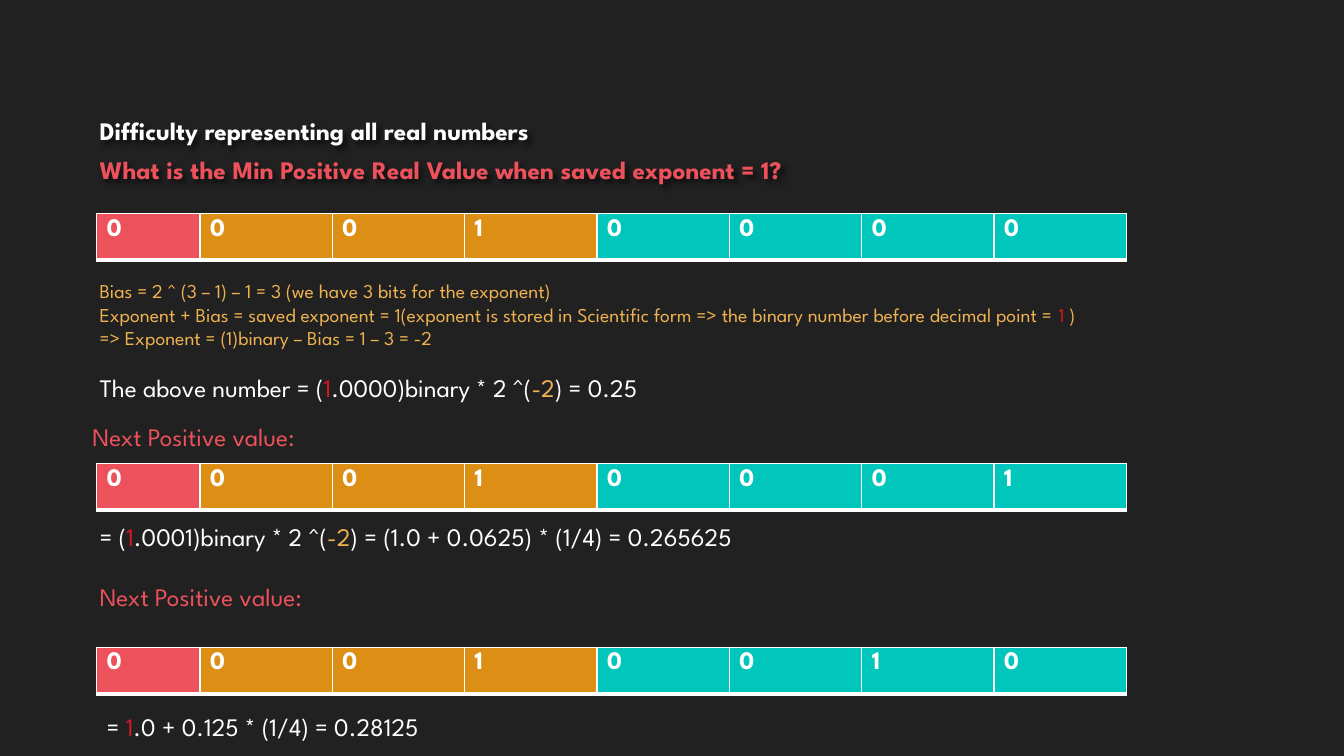
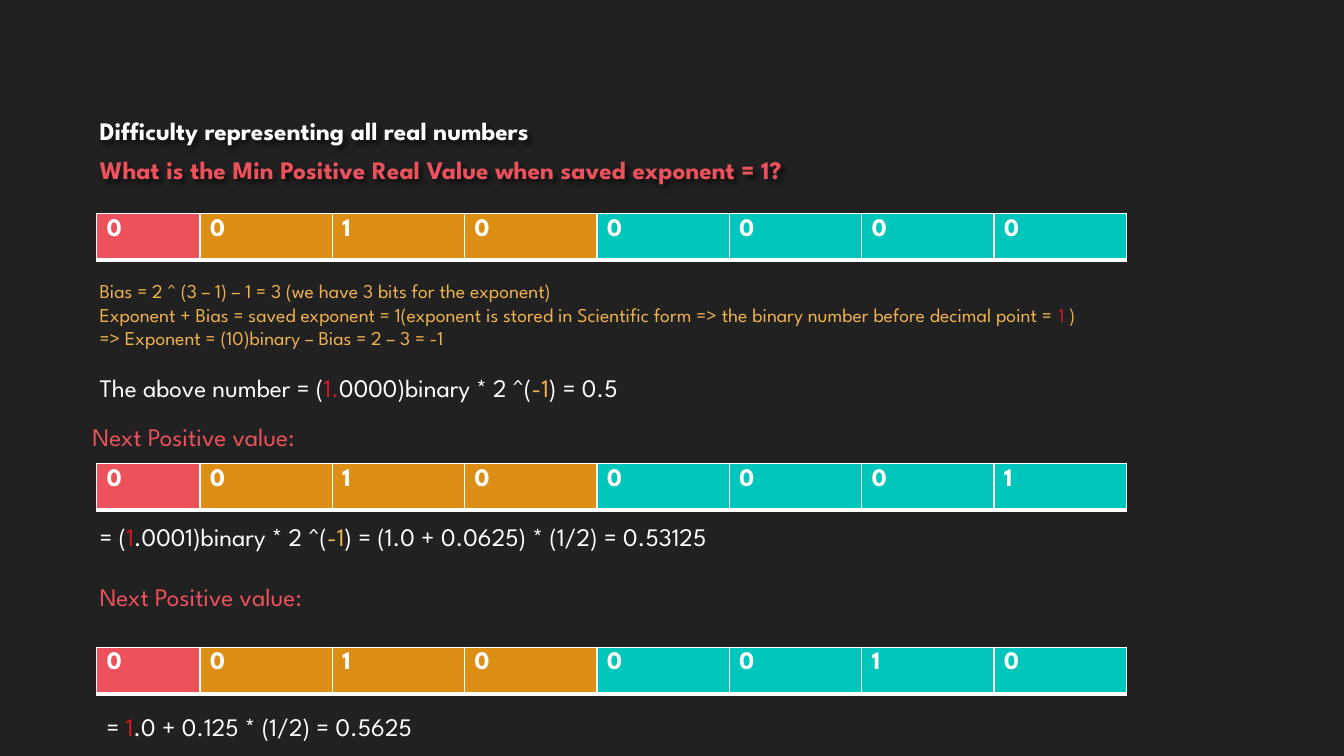
from dataclasses import dataclass

from lxml.etree import SubElement
from pptx import Presentation
from pptx.dml.color import RGBColor
from pptx.enum.text import MSO_ANCHOR
from pptx.oxml.ns import qn
from pptx.util import Cm, Pt


@dataclass(frozen=True)
class Theme:
    """Colours, font and type sizes shared by the slides."""
    background: str = "212121"
    title: str = "FEFEFE"
    white: str = "FFFFFF"
    red: str = "ED515C"
    leading_bit: str = "D81624"
    exponent: str = "EFB251"
    exponent_cell: str = "DC8F14"
    mantissa_cell: str = "00C6BB"
    font: str = "League Spartan"
    body_size: int = 18
    note_size: int = 14


@dataclass(frozen=True)
class Example:
    """One saved exponent and the three values worked out from it."""
    exponent_bits: str
    saved_binary: str
    saved: int
    exponent: int
    scale: str
    red_lead: str
    white_tail: str
    values: tuple


THEME = Theme()
EXAMPLES = (
    Example("001", "1", 1, -2, "1/4", "1", ".0000",
            ("0.25", "0.265625", "0.28125")),
    Example("010", "10", 2, -1, "1/2", "1.", "0000",
            ("0.5", "0.53125", "0.5625")),
)
LEFT = 2.26
TABLE_LEFT = 2.44
TABLE_WIDTH = 25.95
SIGN_WIDTH = 2.6
ROW_HEIGHT = 1.17
BLANK_LINE = 0.76


def colour(value):
    """Turn a hex string into a colour."""
    return RGBColor.from_string(value)


def style_font(font, hex_colour, size, bold=False):
    """Apply the theme font with a colour and size."""
    font.name = THEME.font
    font.size = Pt(size)
    font.bold = bold
    font.color.rgb = colour(hex_colour)


def add_text(slide, left, top, width, height, lines,
             size=THEME.body_size, bold=False, gap=0):
    """Add a text box; each line is a list of (text, colour) pairs."""
    shape = slide.shapes.add_textbox(Cm(left), Cm(top), Cm(width), Cm(height))
    frame = shape.text_frame
    frame.word_wrap = True
    for index, line in enumerate(lines):
        paragraph = frame.paragraphs[0] if index == 0 else frame.add_paragraph()
        if index:
            paragraph.space_before = Cm(gap)
        for text, hex_colour in line:
            run = paragraph.add_run()
            run.text = text
            style_font(run.font, hex_colour, size, bold)
    return shape


def add_heading(slide, top, text, hex_colour):
    """Add a bold heading line with a soft shadow."""
    shape = add_text(slide, LEFT, top, 29.36, 2.69,
                     [[(text, hex_colour)]], bold=True)
    shape.text_frame.vertical_anchor = MSO_ANCHOR.BOTTOM
    effects = SubElement(shape._element.spPr, qn("a:effectLst"))
    shadow = SubElement(effects, qn("a:outerShdw"), blurRad="50800",
                        dist="38100", dir="2700000", algn="tl")
    black = SubElement(shadow, qn("a:srgbClr"), val="000000")
    SubElement(black, qn("a:alpha"), val="60000")


def add_borders(cell):
    """Draw white cell borders with a heavier bottom edge."""
    properties = cell._tc.get_or_add_tcPr()
    for side, width in (("L", 1), ("R", 1), ("T", 1), ("B", 3)):
        line = SubElement(properties, qn(f"a:ln{side}"), w=str(Pt(width)))
        fill = SubElement(line, qn("a:solidFill"))
        SubElement(fill, qn("a:srgbClr"), val=THEME.white)


def add_bits(slide, top, exponent_bits, mantissa_bits):
    """Add one row of sign, exponent and mantissa bits."""
    bits = "0" + exponent_bits + mantissa_bits
    fills = ([THEME.red] + [THEME.exponent_cell] * len(exponent_bits)
             + [THEME.mantissa_cell] * len(mantissa_bits))
    table = slide.shapes.add_table(
        1, len(bits), Cm(TABLE_LEFT), Cm(top), Cm(TABLE_WIDTH),
        Cm(ROW_HEIGHT)).table
    table.first_row = False
    table.horz_banding = False
    bit_width = (TABLE_WIDTH - SIGN_WIDTH) / (len(bits) - 1)
    for index, (bit, fill) in enumerate(zip(bits, fills)):
        table.columns[index].width = Cm(bit_width if index else SIGN_WIDTH)
        cell = table.cell(0, index)
        add_borders(cell)
        cell.fill.solid()
        cell.fill.fore_color.rgb = colour(fill)
        cell.text_frame.text = bit
        style_font(cell.text_frame.paragraphs[0].runs[0].font,
                   THEME.white, THEME.body_size, bold=True)


def add_bias_notes(slide, example):
    """Explain how the exponent follows from the bias."""
    note = THEME.exponent
    add_text(slide, LEFT, 6.91, 25.37, 2.64, [
        [("Bias = 2 ^ (3 – 1) – 1 = 3 (we have 3 bits for the exponent)", note)],
        [("Exponent + Bias = saved exponent = 1(exponent is stored in "
          "Scientific form => the binary number before decimal point = ", note),
         ("1", THEME.leading_bit), (" )", note)],
        [(f"=> Exponent = ({example.saved_binary})binary – Bias = "
          f"{example.saved} – 3 = {example.exponent}", note)],
    ], size=THEME.note_size)


def power_line(prefix, lead, tail, exponent, result):
    """Return the coloured parts of a binary number times a power of two."""
    return [(prefix, THEME.white), (lead, THEME.leading_bit),
            (f"{tail})binary * 2 ^(", THEME.white),
            (str(exponent), THEME.exponent), (f") = {result}", THEME.white)]


def add_example(presentation, example):
    """Add the slide for one saved exponent."""
    slide = presentation.slides.add_slide(presentation.slide_layouts[6])
    slide.background.fill.solid()
    slide.background.fill.fore_color.rgb = colour(THEME.background)
    first, second, third = example.values
    next_value = [("Next Positive value:", THEME.red)]

    add_heading(slide, 1.1, "Difficulty representing all real numbers",
                THEME.title)
    add_heading(slide, 2.08, "What is the Min Positive Real Value when "
                "saved exponent = 1?", THEME.red)
    for top, mantissa in ((5.38, "0000"), (11.68, "0001"), (16.31, "0010")):
        add_bits(slide, top, example.exponent_bits, mantissa)
    add_bias_notes(slide, example)
    add_text(slide, LEFT, 9.25, 25.81, 1.02, [
        power_line("The above number = (", example.red_lead,
                   example.white_tail, example.exponent, first)])
    add_text(slide, 2.08, 10.49, 24.97, 1.8, [next_value])
    add_text(slide, LEFT, 13, 25.37, 2.57, [
        power_line("= (", "1", ".0001", example.exponent,
                   f"(1.0 + 0.0625) * ({example.scale}) = {second}"),
        next_value], gap=BLANK_LINE)
    add_text(slide, TABLE_LEFT, 17.81, 20.88, 1.02, [
        [("= ", THEME.white), ("1", THEME.leading_bit),
         (f".0 + 0.125 * ({example.scale}) = {third}", THEME.white)]])


def main():
    """Build and save the presentation."""
    presentation = Presentation()
    presentation.slide_width = Cm(33.87)
    presentation.slide_height = Cm(19.05)
    for example in EXAMPLES:
        add_example(presentation, example)
    presentation.save("out.pptx")


main()
